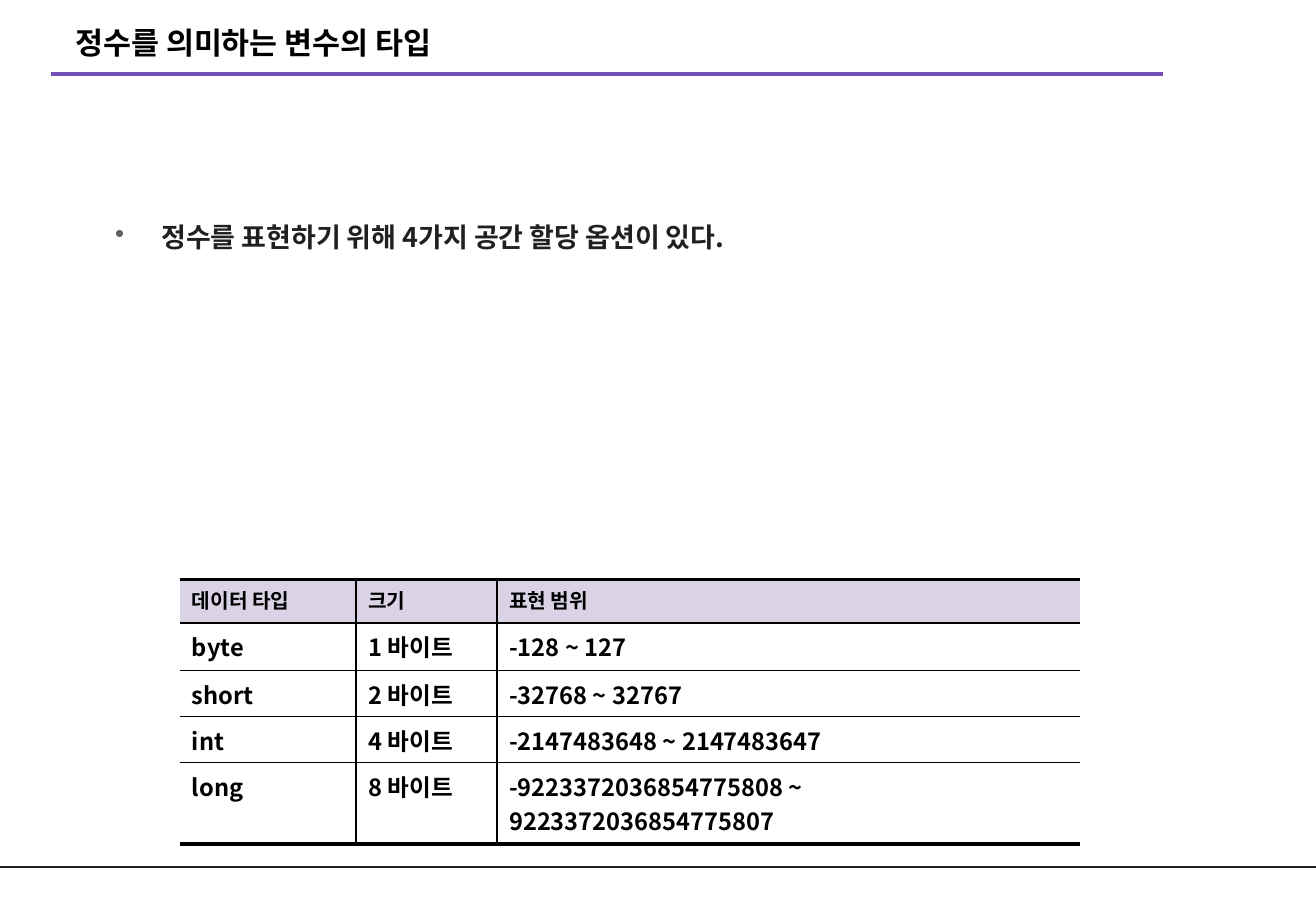
from lxml import etree
from pptx import Presentation
from pptx.dml.color import RGBColor
from pptx.enum.shapes import MSO_CONNECTOR
from pptx.enum.text import MSO_ANCHOR, MSO_AUTO_SIZE, PP_ALIGN
from pptx.oxml.ns import qn
from pptx.util import Pt

PX = 9144  # 100 px to the inch
FONT = "Noto Sans CJK KR"
BLACK = RGBColor(0x00, 0x00, 0x00)
DARK = RGBColor(0x22, 0x1F, 0x1F)
GREY = RGBColor(0x5F, 0x5F, 0x5F)
PURPLE = RGBColor(0x72, 0x4F, 0xB7)
LILAC = RGBColor(0xDA, 0xD3, 0xE5)
STRAIGHT = MSO_CONNECTOR.STRAIGHT
LEFT = PP_ALIGN.LEFT
BOTTOM = MSO_ANCHOR.BOTTOM
NO_FIT = MSO_AUTO_SIZE.NONE


def style(para, size, color):
    """Set bold Korean and Latin text, aligned left."""
    para.alignment = LEFT
    font = para.font
    font.size, font.bold, font.name = Pt(size), True, FONT
    font.color.rgb = color
    props = para._p.pPr.find(qn("a:defRPr"))
    etree.SubElement(props, qn("a:ea"), typeface=FONT)


def border(cell, side, width):
    """Draw one black cell edge, or none where width is 0."""
    props = cell._tc.get_or_add_tcPr()
    edge = etree.SubElement(props, qn("a:ln" + side), w=str(Pt(width)))
    if width:
        fill = etree.SubElement(edge, qn("a:solidFill"))
        etree.SubElement(fill, qn("a:srgbClr"), val=str(BLACK))
    else:
        etree.SubElement(edge, qn("a:noFill"))


prs = Presentation()
prs.slide_width, prs.slide_height = 1083 * PX, 750 * PX
slide = prs.slides.add_slide(prs.slide_layouts[5])
shapes = slide.shapes

# Rules
for x1, x2, y, color, width in [
    (0, 1083, 714, DARK, 1),
    (42, 957, 61, PURPLE, 2.25),
]:
    rule = shapes.add_connector(STRAIGHT, x1 * PX, y * PX, x2 * PX, y * PX)
    rule.line.color.rgb = color
    rule.line.width = Pt(width)
    etree.SubElement(rule._element.spPr, qn("a:effectLst"))

# Title
title = shapes.title
title.left, title.top = 52 * PX, -15 * PX
title.width, title.height = 1039 * PX, 70 * PX
frame = title.text_frame
frame.text = "정수를 의미하는 변수의 타입"
frame.vertical_anchor = BOTTOM
frame.auto_size = NO_FIT
style(frame.paragraphs[0], 18, BLACK)

# Bullet
body = shapes.add_textbox(85 * PX, 177 * PX, 900 * PX, 45 * PX)
frame = body.text_frame
frame.word_wrap = True
para = frame.paragraphs[0]
para.text = "정수를 표현하기 위해 4가지 공간 할당 옵션이 있다."
props = para._p.get_or_add_pPr()
props.set("marL", str(38 * PX))
props.set("indent", str(-38 * PX))
tint = etree.SubElement(props, qn("a:buClr"))
etree.SubElement(tint, qn("a:srgbClr"), val=str(GREY))
etree.SubElement(props, qn("a:buChar"), char="•")
style(para, 16, DARK)

# Table of types, each row with its height
ROWS = [
    (36, "데이터 타입", "크기", "표현 범위"),
    (39, "byte", "1 바이트", "-128 ~ 127"),
    (38, "short", "2 바이트", "-32768 ~ 32767"),
    (38, "int", "4 바이트", "-2147483648 ~ 2147483647"),
    (67, "long", "8 바이트", "-9223372036854775808 ~ 9223372036854775807"),
]
COLS = [145, 116, 480]
last_row, last_col = len(ROWS) - 1, len(COLS) - 1
high = sum(row[0] for row in ROWS)
table = shapes.add_table(
    len(ROWS), len(COLS), 148 * PX, 477 * PX, sum(COLS) * PX, high * PX
).table
table.horz_banding = False
for col, width in zip(table.columns, COLS):
    col.width = width * PX

for r, (height, *texts) in enumerate(ROWS):
    table.rows[r].height = height * PX
    for c, text in enumerate(texts):
        cell = table.cell(r, c)
        cell.text = text
        style(cell.text_frame.paragraphs[0], 14 if r else 12, BLACK)
        border(cell, "L", 1 if c else 0)
        border(cell, "R", 1 if c < last_col else 0)
        border(cell, "T", 1 if r else 2.25)
        border(cell, "B", 1 if r < last_row else 2.25)
        if r:
            cell.fill.background()
        else:
            cell.fill.solid()
            cell.fill.fore_color.rgb = LILAC

prs.save("out.pptx")
